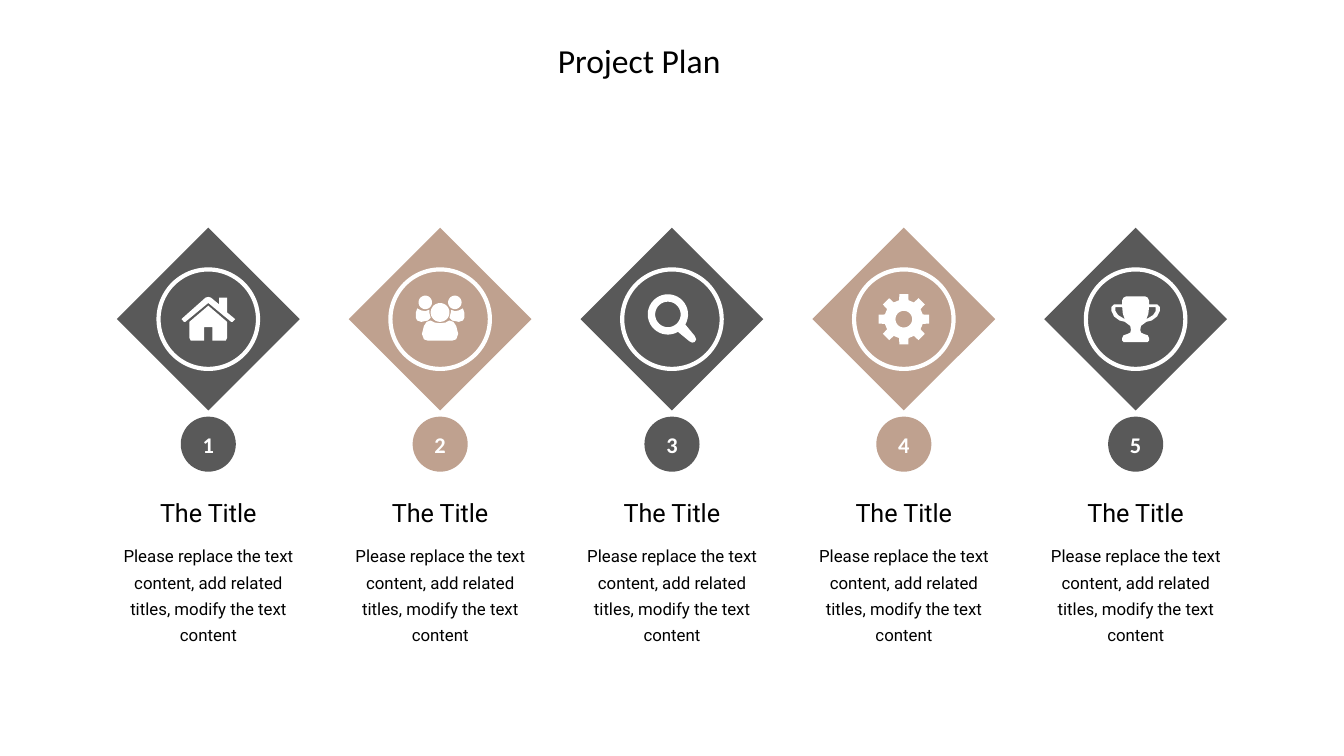
from math import cos, radians, sin

from pptx import Presentation
from pptx.dml.color import RGBColor
from pptx.enum.shapes import MSO_SHAPE
from pptx.enum.text import MSO_ANCHOR, PP_ALIGN
from pptx.util import Inches, Pt

WIDTH = Inches(10)
DARK, TAN, WHITE, BLACK = "595959", "BFA18F", "FFFFFF", "000000"
FIRST_COLUMN, COLUMN_STEP = 15.5, 17.25  # column centres, % of slide width
ICON_ROW = 23.75
CAPTION = "The Title"
DETAIL = "Please replace the text content, add related titles, modify the text content"


def color(hex_code):
    return RGBColor.from_string(hex_code)


def share(percent):
    """Length as a percentage of the slide width, used on both axes."""
    return int(WIDTH * percent / 100)


# Icon outlines: points in 0.1 % of the slide width, around the icon centre
def arc(x, y, radius, start=0, end=360, steps=36):
    angles = [radians(start + (end - start) * i / steps) for i in range(steps + 1)]
    return [(x + radius * cos(a), y + radius * sin(a)) for a in angles]


def flip(points):
    return [(-x, y) for x, y in reversed(points)]


def house():
    roof = [(18, 2), (17, 2), (0, -12), (-17, 2), (-18, 2), (-20, 0), (-2, -16),
            (0, -16.5), (2, -16), (8, -11), (8, -16), (14, -16), (14, -5), (20, 0)]
    half_wall = [(0, -10), (14, 2), (14, 14), (13, 16), (3, 16), (3, 6)]
    return [roof, half_wall + flip(half_wall)]


def team():
    helper = [(-9, 1), (-14, 2), (-17, 1), (-18, -1), (-18, -5), (-17, -8),
              (-14, -6.5), (-11, -6), (-8, -7), (-8, -5), (-7, -1)]
    half_body = [(0, 3), (4, 2.5), (7, 1), (10, 2), (12, 5), (13.5, 11), (12, 15), (9, 16)]
    return [arc(0, -5, 7), arc(-11, -12.5, 5), arc(11, -12.5, 5),
            helper, flip(helper), half_body + flip(half_body)]


def magnifier():
    handle = [(13, 16.5), (15, 17.5), (17, 17), (18, 15), (17, 12.5)]
    return [arc(-3, -3.5, 15, 60, 390) + handle[::-1], arc(-3, -3.5, 9.5)]


def gear():
    tooth = [(-14, 14.5), (-10, 19), (10, 19), (14, 14.5)]
    rim = [(r * cos(radians(turn + a)), r * sin(radians(turn + a)))
           for turn in range(0, 360, 45) for a, r in tooth]
    return [rim, arc(0, 0, 6.2)]


def trophy():
    half_cup = [(0, -17), (7, -17), (9, -16), (10, -14), (10, -11), (16, -11),
                (18, -9), (18, -6), (16, -2), (12, 1), (8, 2), (4, 5), (3.5, 8),
                (4, 10), (6, 11), (9, 12), (10, 14), (10, 16), (9, 17)]
    handle_hole = [(10, -9), (15, -9), (15, -6), (13, -3), (8, 0), (9.5, -4)]
    return [half_cup + flip(half_cup), handle_hole, flip(handle_hole)]


class PlanSlide:
    heading_font, text_font = "Calibri", "Roboto"

    def __init__(self, deck):
        self.slide = deck.slides.add_slide(deck.slide_layouts[5])
        self.shapes = self.slide.shapes

    def start_group(self):
        self.shapes = self.slide.shapes.add_group_shape().shapes

    def set_text(self, frame, text, size, font, ink=BLACK, bold=False,
                 align=PP_ALIGN.CENTER, spacing=1.0):
        frame.text = text
        paragraph = frame.paragraphs[0]
        paragraph.alignment, paragraph.line_spacing = align, spacing
        style = paragraph.runs[0].font
        style.name, style.size, style.bold = font, Pt(size), bold
        style.color.rgb = color(ink)

    def title(self, text, left, top, width, height):
        heading = self.slide.shapes.title
        heading.left, heading.top = share(left), share(top)
        heading.width, heading.height = share(width), share(height)
        heading.text_frame.vertical_anchor = MSO_ANCHOR.TOP
        self.set_text(heading.text_frame, text, 18, self.heading_font, align=PP_ALIGN.LEFT)

    def paint(self, shape, fill, outline=None):
        shape.shadow.inherit = False
        shape.fill.solid()
        shape.fill.fore_color.rgb = color(fill)
        if outline:
            shape.line.color.rgb = color(outline)
            shape.line.width = Pt(2.25)
        else:
            shape.line.fill.background()

    def figure(self, preset, x, y, size, fill, outline=None):
        shape = self.shapes.add_shape(preset, share(x - size / 2), share(y - size / 2),
                                      share(size), share(size))
        self.paint(shape, fill, outline)
        return shape

    def badge(self, number, x, y, size, fill):
        frame = self.figure(MSO_SHAPE.OVAL, x, y, size, fill).text_frame
        frame.word_wrap = False
        frame.vertical_anchor = MSO_ANCHOR.MIDDLE
        self.set_text(frame, str(number), 12, self.heading_font, WHITE, bold=True)

    def icon(self, outlines, x, y):
        contours = [[(share(x + dx / 10), share(y + dy / 10)) for dx, dy in outline]
                    for outline in outlines]
        builder = self.shapes.build_freeform(*contours[0][0])
        for i, contour in enumerate(contours):
            if i:
                builder.move_to(*contour[0])
            builder.add_line_segments(contour[1:], close=True)
        self.paint(builder.convert_to_shape(), WHITE)

    def label(self, text, x, top, width, height, size, spacing=1.0):
        box = self.shapes.add_textbox(share(x - width / 2), share(top),
                                      share(width), share(height))
        box.text_frame.word_wrap = True
        self.set_text(box.text_frame, text, size, self.text_font, spacing=spacing)


def main():
    deck = Presentation()
    deck.slide_width, deck.slide_height = WIDTH, share(56.25)
    plan = PlanSlide(deck)
    plan.title("Project Plan", 40.5, 2.5, 15.5, 7.1)

    # One column per step, alternating the two colours
    for step, draw_icon in enumerate([house, team, magnifier, gear, trophy]):
        x = FIRST_COLUMN + step * COLUMN_STEP
        fill = TAN if step % 2 else DARK
        plan.start_group()
        plan.figure(MSO_SHAPE.DIAMOND, x, ICON_ROW, 13.6, fill)
        plan.figure(MSO_SHAPE.OVAL, x, ICON_ROW, 7.4, fill, outline=WHITE)
        plan.badge(step + 1, x, 33.05, 4.1, fill)
        plan.icon(draw_icon(), x, ICON_ROW)
        plan.label(CAPTION, x, 36.5, 11, 3.3, 13.5)
        plan.label(DETAIL, x, 39.7, 15.8, 8.8, 9, spacing=1.3)

    deck.save("out.pptx")


if __name__ == "__main__":
    main()
